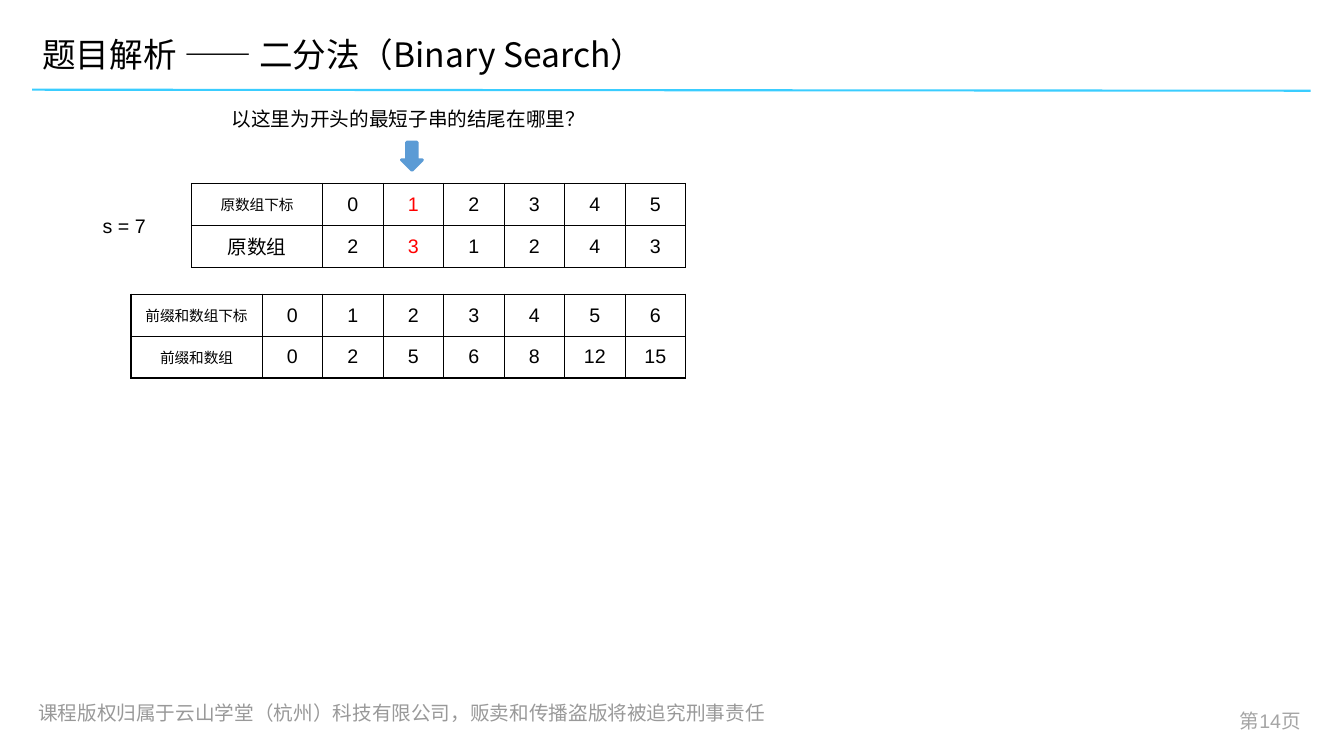
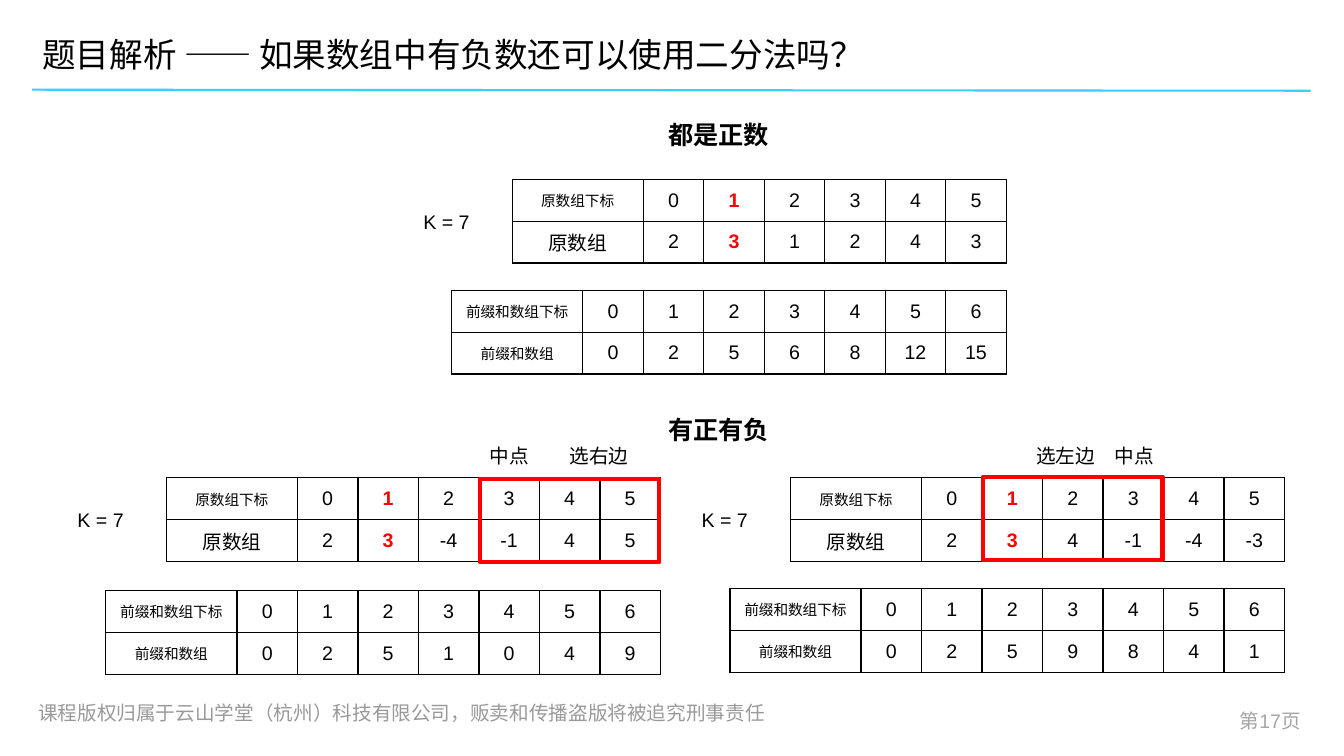
from itertools import accumulate

from lxml import etree
from pptx import Presentation
from pptx.dml.color import RGBColor
from pptx.enum import shapes, text
from pptx.oxml import ns
from pptx.util import Inches, Pt

COLORS = {
    "ink": "000000",
    "accent": "FF0000",
    "rule": "3ACDFF",
    "arrow": "5B9BD5",
    "footer": "999999",
    "page": "A5A5A5",
}
LATIN, CJK = "Arial", "Noto Sans CJK SC"
HEADER_WIDTH, CELL_WIDTH, ROW_HEIGHT = 1.3, 0.6, 0.415
FOOTER = "课程版权归属于云山学堂（杭州）科技有限公司，贩卖和传播盗版将被追究刑事责任"


def rgb(name):
    return RGBColor.from_string(COLORS[name])


def write(paragraph, content, size=14, color="ink", bold=False, font=LATIN, align=None):
    run = paragraph.add_run()
    run.text = content
    run.font.name = font
    run.font.size = Pt(size)
    run.font.bold = bold
    run.font.color.rgb = rgb(color)
    east_asian = etree.SubElement(run.font._element, ns.qn("a:ea"))
    east_asian.set("typeface", CJK)
    if align is not None:
        paragraph.alignment = align


def add_label(slide, content, left, top, width, height=0.34, wrap=False, **style):
    label = slide.shapes.add_textbox(
        Inches(left), Inches(top), Inches(width), Inches(height))
    frame = label.text_frame
    frame.word_wrap = wrap
    frame.auto_size = text.MSO_AUTO_SIZE.NONE if wrap else text.MSO_AUTO_SIZE.SHAPE_TO_FIT_TEXT
    write(frame.paragraphs[0], content, **style)
    return label


def add_outline(slide, kind, left, top, width, height, color, weight, filled=False):
    outline = slide.shapes.add_shape(
        kind, Inches(left), Inches(top), Inches(width), Inches(height))
    outline.shadow.inherit = False
    outline.line.color.rgb = rgb(color)
    outline.line.width = Pt(weight)
    if filled:
        outline.fill.solid()
        outline.fill.fore_color.rgb = rgb(color)
    else:
        outline.fill.background()
    return outline


def border_cell(cell):
    properties = cell._tc.get_or_add_tcPr()
    for position, side in enumerate(("a:lnL", "a:lnR", "a:lnT", "a:lnB")):
        edge = etree.Element(ns.qn(side), w=str(Pt(1)))
        fill = etree.SubElement(edge, ns.qn("a:solidFill"))
        etree.SubElement(fill, ns.qn("a:srgbClr"), val=COLORS["ink"])
        properties.insert(position, edge)


def add_number_table(slide, left, top, headers, values, marked=None, bold=False):
    rows = [list(range(len(values))), values]
    table = slide.shapes.add_table(
        2, len(values) + 1, Inches(left), Inches(top),
        Inches(HEADER_WIDTH + CELL_WIDTH * len(values)), Inches(2 * ROW_HEIGHT)).table
    table.first_row = table.horz_banding = False
    for column_index, column in enumerate(table.columns):
        column.width = Inches(CELL_WIDTH if column_index else HEADER_WIDTH)
    for row_index, ((header, header_size), numbers) in enumerate(zip(headers, rows)):
        table.rows[row_index].height = Inches(ROW_HEIGHT)
        for column_index, content in enumerate([header, *numbers]):
            cell = table.cell(row_index, column_index)
            cell.fill.background()
            cell.vertical_anchor = text.MSO_ANCHOR.MIDDLE
            border_cell(cell)
            highlighted = marked is not None and column_index == marked + 1
            write(cell.text_frame.paragraphs[0], str(content),
                  size=14 if column_index else header_size,
                  color="accent" if highlighted else "ink",
                  bold=highlighted and bold, align=text.PP_ALIGN.CENTER)


def add_example(slide, left, top, target, numbers, bold=True, prefix_gap=1.1):
    add_number_table(slide, left, top, [("原数组下标", 10.5), ("原数组", 14)],
                     numbers, marked=1, bold=bold)
    add_number_table(slide, left - CELL_WIDTH, top + prefix_gap,
                     [("前缀和数组下标", 10.5), ("前缀和数组", 10.5)],
                     list(accumulate(numbers, initial=0)))
    add_label(slide, target, left - 0.98, top + 0.25, 0.66)


def furnish_layout(layout, slide):
    for placeholder in list(layout.placeholders):
        if placeholder.placeholder_format.type == shapes.PP_PLACEHOLDER.TITLE:
            placeholder.left, placeholder.top = Inches(0.32), Inches(0.24)
            placeholder.width, placeholder.height = Inches(9.76), Inches(0.65)
        else:
            layout.shapes.element.remove(placeholder.element)
    copyright_note = add_label(slide, FOOTER, 0.28, 6.89, 11.15, 0.35,
                               wrap=True, color="footer")
    frame = copyright_note.text_frame
    frame.vertical_anchor = text.MSO_ANCHOR.MIDDLE
    frame.margin_top = frame.margin_bottom = Inches(0.1)
    rule = slide.shapes.add_connector(
        shapes.MSO_CONNECTOR.STRAIGHT, Inches(13), Inches(0.9), Inches(0.32), Inches(0.89))
    rule.line.color.rgb = rgb("rule")
    rule.line.width = Pt(1.5)
    etree.SubElement(rule.element.spPr, ns.qn("a:effectLst"))
    for shared in (copyright_note, rule):
        layout.shapes.element.append(shared.element)


def add_heading(slide, page, *parts):
    frame = slide.shapes.title.text_frame
    frame.auto_size = text.MSO_AUTO_SIZE.NONE
    frame.vertical_anchor = text.MSO_ANCHOR.MIDDLE
    heading = frame.paragraphs[0]
    heading.line_spacing = 0.9
    for content, font in parts:
        write(heading, content, size=24, font=font, align=text.PP_ALIGN.LEFT)
    add_label(slide, f"第{page}页", 12, 6.98, 1, 0.35, wrap=True,
              color="page", align=text.PP_ALIGN.RIGHT)


def build_binary_search(slide):
    add_heading(slide, 14, ("题目解析 —— 二分法", LATIN), ("（Binary Search）", CJK))
    add_example(slide, 1.9, 1.82, "s = 7", [2, 3, 1, 2, 4, 3], bold=False)
    add_label(slide, "以这里为开头的最短子串的结尾在哪里？", 2.2, 1.01, 3.87)
    pointer = add_outline(slide, shapes.MSO_SHAPE.UP_ARROW, 3.98, 1.41, 0.21, 0.28,
                          "arrow", 2, filled=True)
    pointer.rotation = 180


def build_negative_numbers(slide):
    add_heading(slide, 17, ("题目解析 —— 如果数组中有负数还可以使用二分法吗？", LATIN))
    for caption, top in (("都是正数", 1.13), ("有正有负", 4.06)):
        add_label(slide, caption, 6.53, top, 1.21, 0.4, size=18, bold=True)
    add_example(slide, 5.08, 1.78, "K = 7", [2, 3, 1, 2, 4, 3])
    add_example(slide, 1.65, 4.74, "K = 7", [2, 3, -4, -1, 4, 5], prefix_gap=1.12)
    add_example(slide, 7.84, 4.74, "K = 7", [2, 3, 4, -1, -4, -3])
    for caption, left, width in (("中点", 4.76, 0.59), ("选右边", 5.55, 0.79),
                                 ("中点", 10.96, 0.59), ("选左边", 10.18, 0.79)):
        add_label(slide, caption, left, 4.36, width)
    for left, top in ((4.76, 4.75), (9.75, 4.73)):
        add_outline(slide, shapes.MSO_SHAPE.RECTANGLE, left, top, 1.78, 0.83, "accent", 3)


def main():
    deck = Presentation()
    deck.slide_width, deck.slide_height = Inches(13.33), Inches(7.5)
    layout = deck.slide_layouts.get_by_name("Title Only")
    binary_search = deck.slides.add_slide(layout)
    furnish_layout(layout, binary_search)
    build_binary_search(binary_search)
    build_negative_numbers(deck.slides.add_slide(layout))
    deck.save("out.pptx")


if __name__ == "__main__":
    main()
